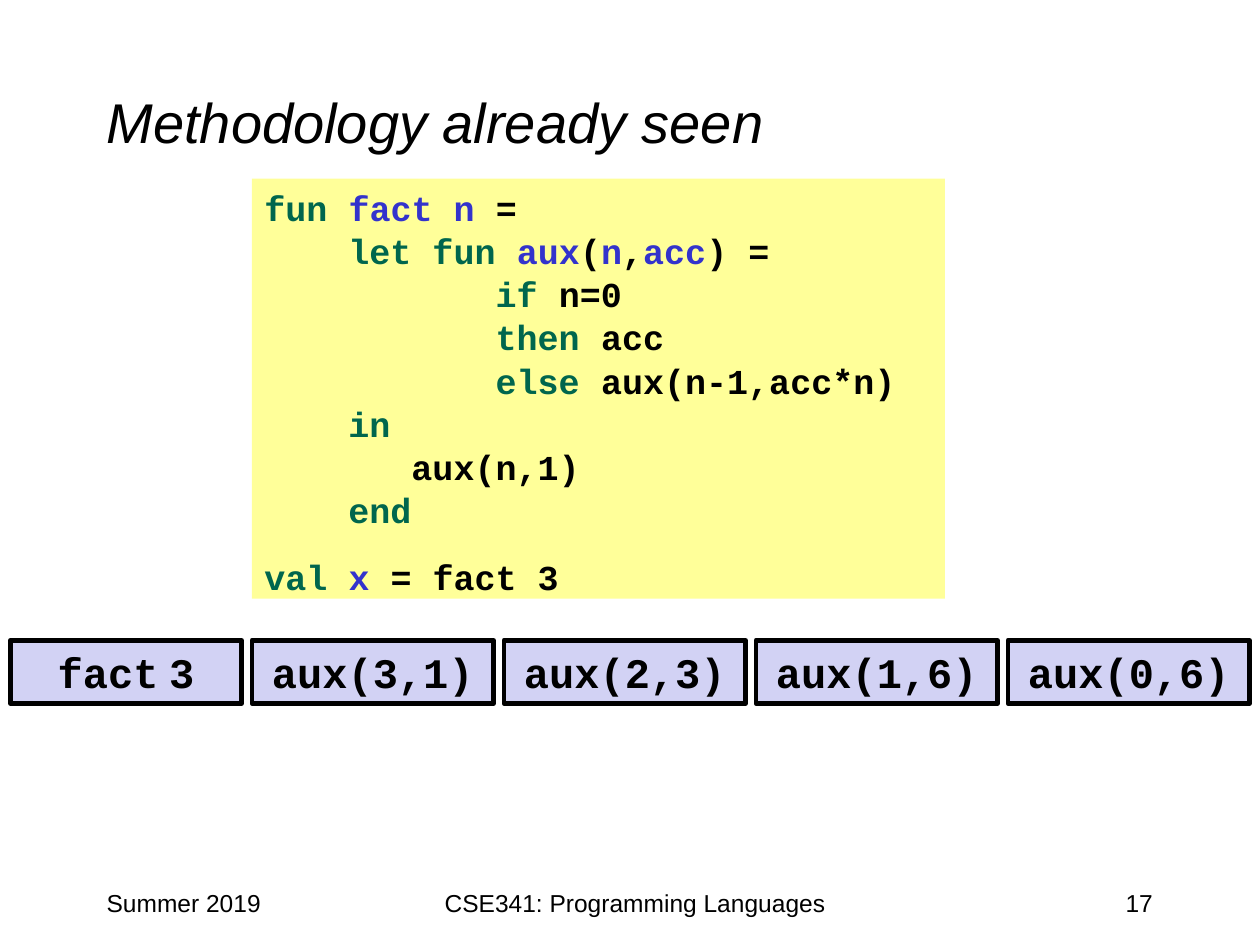
import pptx
import pptx.util
import pptx.dml.color
import pptx.enum.shapes
import pptx.enum.text

Cm = pptx.util.Cm
Pt = pptx.util.Pt
RGBColor = pptx.dml.color.RGBColor
ALIGN = pptx.enum.text.PP_ALIGN
ANCHOR = pptx.enum.text.MSO_ANCHOR

BLACK = RGBColor(0x00, 0x00, 0x00)
KEYWORD = RGBColor(0x00, 0x66, 0x4D)
BINDING = RGBColor(0x33, 0x33, 0xCC)
CODE_FILL = RGBColor(0xFF, 0xFF, 0x99)
CALL_FILL = RGBColor(0xD2, 0xD2, 0xF4)

TITLE = "Methodology already seen"
FOOTERS = [
    ("Summer 2019", 1.9, 5.29, ALIGN.LEFT),
    ("CSE341: Programming Languages", 8.04, 9.53, ALIGN.CENTER),
    ("17", 18.2, 5.29, ALIGN.RIGHT),
]
CODE = [
    [("fun ", KEYWORD), ("fact n", BINDING), (" =", BLACK)],
    [("    let fun ", KEYWORD), ("aux", BINDING), ("(", BLACK), ("n", BINDING),
     (",", BLACK), ("acc", BINDING), (") =", BLACK)],
    [("           if ", KEYWORD), ("n=0", BLACK)],
    [("           then ", KEYWORD), ("acc", BLACK)],
    [("           else ", KEYWORD), ("aux(n-1,acc*n)", BLACK)],
    [("    in", KEYWORD)],
    [("       aux(n,1)", BLACK)],
    [("    end", KEYWORD)],
    [("val ", KEYWORD), ("x", BINDING), (" = fact 3", BLACK)],
]
CODE_GAPS = [0] + [3.1] * 7 + [16.7]
CALLS = [
    [("fact", BLACK), (" ", BLACK, 10), ("3", BLACK)],
    [("aux(3,1)", BLACK)],
    [("aux(2,3)", BLACK)],
    [("aux(1,6)", BLACK)],
    [("aux(0,6)", BLACK)],
]
CALL_PITCH = 5.08
CALL_RIGHT_EDGE = 4.87


def write_text(shape, lines, size, font="Arial", bold=False, italic=False,
               align=ALIGN.LEFT, anchor=ANCHOR.TOP, side_inset=0.25,
               top_inset=0.13, spacing=None, gaps=None):
    frame = shape.text_frame
    frame.word_wrap = True
    frame.vertical_anchor = anchor
    frame.margin_left = frame.margin_right = Cm(side_inset)
    frame.margin_top = Cm(top_inset)
    frame.margin_bottom = Cm(0.13)
    for index, line in enumerate(lines):
        paragraph = frame.add_paragraph() if index else frame.paragraphs[0]
        paragraph.alignment = align
        if spacing:
            paragraph.line_spacing = spacing
        if gaps:
            paragraph.space_before = Pt(gaps[index])
        for text, colour, *own_size in line:
            run = paragraph.add_run()
            run.text = text
            run.font.name = font
            run.font.size = Pt(own_size[0] if own_size else size)
            run.font.bold = bold
            run.font.italic = italic
            run.font.color.rgb = colour


def add_label(slide, text, left, top, width, height, **text_format):
    box = slide.shapes.add_textbox(Cm(left), Cm(top), Cm(width), Cm(height))
    write_text(box, [[(text, BLACK)]], **text_format)


def add_box(slide, lines, left, top, width, height, fill, border=None, **text_format):
    box = slide.shapes.add_shape(pptx.enum.shapes.MSO_SHAPE.RECTANGLE,
                                 Cm(left), Cm(top), Cm(width), Cm(height))
    box.shadow.inherit = False
    box.fill.solid()
    box.fill.fore_color.rgb = fill
    if border:
        box.line.color.rgb = BLACK
        box.line.width = Pt(border)
    else:
        box.line.fill.background()
    write_text(box, lines, font="Courier New", bold=True, **text_format)


def main():
    presentation = pptx.Presentation()
    presentation.slide_width = Cm(25.4)
    presentation.slide_height = Cm(19.05)
    slide = presentation.slides.add_slide(presentation.slide_layouts[6])

    add_label(slide, TITLE, 1.9, 0.85, 21.59, 3.18, size=32, italic=True,
              anchor=ANCHOR.MIDDLE)
    for text, left, width, align in FOOTERS:
        add_label(slide, text, left, 17.78, width, 1.27, size=14, align=align)

    add_box(slide, CODE, 5.08, 3.6, 13.97, 8.47, CODE_FILL, size=20,
            top_inset=0.25, spacing=0.9, gaps=CODE_GAPS)
    for index, call in enumerate(CALLS):
        left = index * CALL_PITCH or 0.21
        width = index * CALL_PITCH + CALL_RIGHT_EDGE - left
        add_box(slide, [call], left, 12.91, width, 1.27, CALL_FILL,
                border=2.75, size=24, align=ALIGN.CENTER, side_inset=0)

    presentation.save("out.pptx")


if __name__ == "__main__":
    main()
